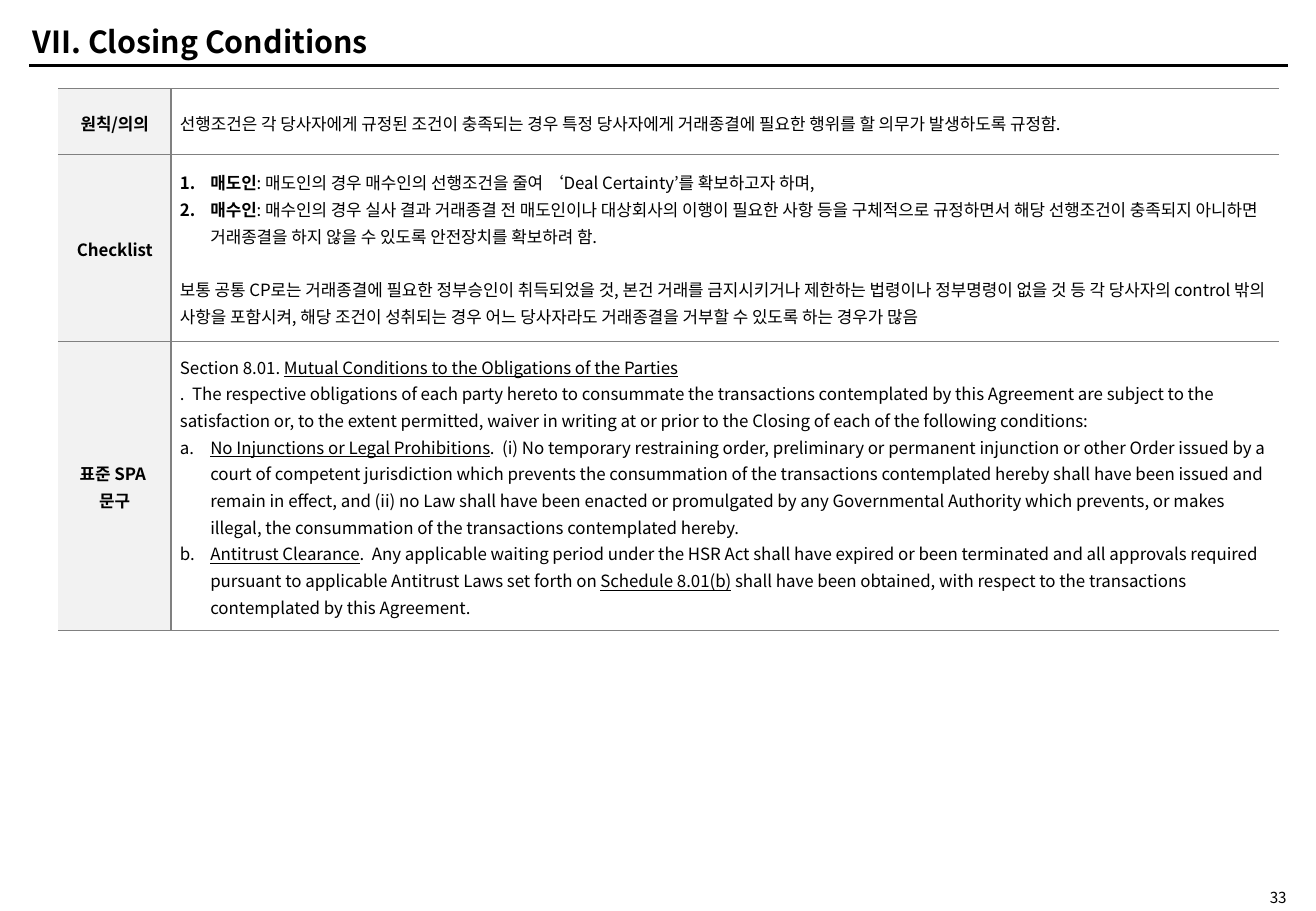
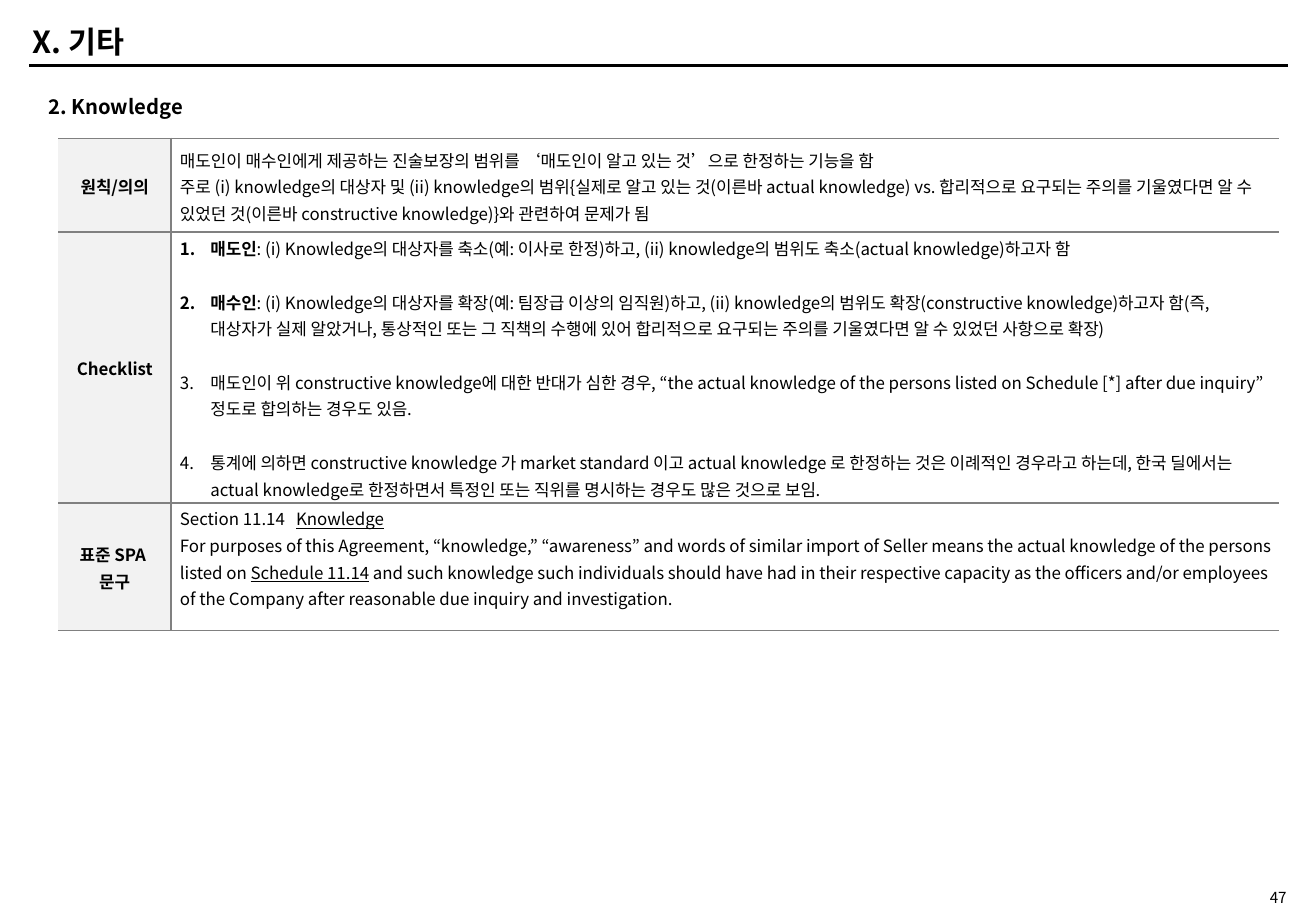
from dataclasses import dataclass

from lxml import etree
from pptx import Presentation
from pptx.dml.color import RGBColor
from pptx.enum.shapes import MSO_CONNECTOR
from pptx.enum.text import MSO_ANCHOR, PP_ALIGN
from pptx.oxml.ns import qn
from pptx.util import Pt

LEFT, CENTER, RIGHT = PP_ALIGN.LEFT, PP_ALIGN.CENTER, PP_ALIGN.RIGHT
TOP, MIDDLE = MSO_ANCHOR.TOP, MSO_ANCHOR.MIDDLE
STRAIGHT = MSO_CONNECTOR.STRAIGHT

COLORS = {"ink": "000000", "border": "808080", "label": "F2F2F2"}
FONT = "Noto Sans CJK KR"
SLIDE_WIDTH, SLIDE_HEIGHT = 780, 540
BODY_SIZE, LINE_SPACING, BLANK_LINE = 10, 1.1, 15.8
CELL_INSET, LIST_INDENT = 5.2, 18
LABEL_WIDTH, CONTENT_WIDTH = 67, 656.6
PLAIN_TABLE_STYLE = "{2D5ABB26-0587-4C30-8999-92F81FD0307C}"
NUMBER, LETTER = "arabicPeriod", "alphaLcPeriod"


@dataclass
class Entry:
    """A paragraph: plain strings, or (text, style) pairs, plus list settings."""
    runs: list
    numbering: str = ""
    gap: float = 0


def bold(text):
    return text, "bold"


def underlined(text):
    return text, "underline"


def set_font(paragraph, size, is_bold=False):
    font = paragraph.font
    font.name, font.size, font.bold = FONT, Pt(size), is_bold
    font.color.rgb = RGBColor.from_string(COLORS["ink"])
    # Hangul takes its typeface from the East Asian slot
    defaults = paragraph._p.pPr.find(qn("a:defRPr"))
    etree.SubElement(defaults, qn("a:ea"), typeface=FONT)


def add_text(slide, box, text, size, is_bold=False, alignment=LEFT, anchor=MIDDLE, inset=3.6):
    frame = slide.shapes.add_textbox(*map(Pt, box)).text_frame
    frame.word_wrap = True
    frame.vertical_anchor = anchor
    frame.margin_top = frame.margin_bottom = Pt(inset)
    paragraph = frame.paragraphs[0]
    paragraph.text, paragraph.alignment = text, alignment
    set_font(paragraph, size, is_bold)


def add_frame(slide, title, number):
    # Title with the rule below it
    add_text(slide, (12.2, 10.8, 368, 27.4), title, 18, True)
    rule = slide.shapes.add_connector(STRAIGHT, Pt(17.3), Pt(38.7), Pt(763.2), Pt(38.7))
    rule.line.color.rgb = RGBColor.from_string(COLORS["ink"])
    rule.line.width = Pt(2)
    etree.SubElement(rule._element.spPr, qn("a:effectLst"))
    # Page number
    add_text(slide, (702, 526.3, 67.7, 10.8), number, 9, alignment=RIGHT, inset=0)


def set_borders(cell, visible):
    properties = cell._tc.get_or_add_tcPr()
    for side in "LRTB":
        line = etree.SubElement(properties, qn(f"a:ln{side}"), w=str(Pt(1)))
        if side in visible:
            fill = etree.SubElement(line, qn("a:solidFill"))
            etree.SubElement(fill, qn("a:srgbClr"), val=COLORS["border"])
        else:
            etree.SubElement(line, qn("a:noFill"))


def prepare_cell(cell, borders, bottom=0):
    cell.vertical_anchor = MIDDLE
    cell.margin_left = cell.margin_right = Pt(CELL_INSET)
    cell.margin_top, cell.margin_bottom = 0, Pt(bottom)
    set_borders(cell, borders)


def fill_label(cell, text):
    prepare_cell(cell, "RTB")
    cell.fill.solid()
    cell.fill.fore_color.rgb = RGBColor.from_string(COLORS["label"])
    paragraph = cell.text_frame.paragraphs[0]
    paragraph.text, paragraph.alignment = text, CENTER
    paragraph.line_spacing = LINE_SPACING
    set_font(paragraph, BODY_SIZE, True)


def fill_content(cell, entries, bottom):
    prepare_cell(cell, "LTB", bottom)
    cell.fill.background()
    frame = cell.text_frame
    for index, entry in enumerate(entries):
        paragraph = frame.add_paragraph() if index else frame.paragraphs[0]
        paragraph.line_spacing = LINE_SPACING
        paragraph.space_before = Pt(entry.gap)
        if entry.numbering:
            properties = paragraph._p.get_or_add_pPr()
            properties.set("marL", str(Pt(LIST_INDENT)))
            properties.set("indent", str(-Pt(LIST_INDENT)))
            etree.SubElement(properties, qn("a:buAutoNum"), type=entry.numbering)
        set_font(paragraph, BODY_SIZE)
        for item in entry.runs:
            text, style = (item, "") if isinstance(item, str) else item
            run = paragraph.add_run()
            run.text = text
            if style:
                setattr(run.font, style, True)


def add_clause_table(slide, left, top, rows):
    """Each row holds its label, height, entries and bottom inset."""
    height = sum(row[1] for row in rows)
    shape = slide.shapes.add_table(len(rows), 2, Pt(left), Pt(top),
                                   Pt(LABEL_WIDTH + CONTENT_WIDTH), Pt(height))
    table = shape.table
    table.first_row = table.horz_banding = False
    table._tbl.tblPr.find(qn("a:tableStyleId")).text = PLAIN_TABLE_STYLE
    for column, width in zip(table.columns, (LABEL_WIDTH, CONTENT_WIDTH)):
        column.width = Pt(width)
    for index, (label, row_height, entries, bottom) in enumerate(rows):
        table.rows[index].height = Pt(row_height)
        fill_label(table.cell(index, 0), label)
        fill_content(table.cell(index, 1), entries, bottom)


PRINCIPLE, CHECKLIST, STANDARD = "원칙/의의", "Checklist", "표준 SPA \n문구"

CLOSING_ROWS = [
    (PRINCIPLE, 39, [
        Entry(["선행조건은 각 당사자에게 규정된 조건이 충족되는 경우 특정 당사자에게 거래종결에 "
               "필요한 행위를 할 의무가 발생하도록 규정함."]),
    ], 0),
    (CHECKLIST, 110.7, [
        Entry([bold("매도인"), ": 매도인의 경우 매수인의 선행조건을 줄여 ‘Deal Certainty’를 "
               "확보하고자 하며,"], NUMBER),
        Entry([bold("매수인"), ": 매수인의 경우 실사 결과 거래종결 전 매도인이나 대상회사의 이행이 "
               "필요한 사항 등을 구체적으로 규정하면서 해당 선행조건이 충족되지 아니하면 거래종결을 "
               "하지 않을 수 있도록 안전장치를 확보하려 함."], NUMBER),
        Entry(["보통 공통 CP로는 거래종결에 필요한 정부승인이 취득되었을 것, 본건 거래를 금지시키거나 "
               "제한하는 법령이나 정부명령이 없을 것 등 각 당사자의 control 밖의 사항을 포함시켜, "
               "해당 조건이 성취되는 경우 어느 당사자라도 거래종결을 거부할 수 있도록 하는 경우가 많음"],
              gap=BLANK_LINE),
    ], 0),
    (STANDARD, 171.3, [
        Entry(["Section 8.01. ",
               underlined("Mutual Conditions to the Obligations of the Parties")]),
        Entry([".  The respective obligations of each party hereto to consummate the transactions "
               "contemplated by this Agreement are subject to the satisfaction or, to the extent "
               "permitted, waiver in writing at or prior to the Closing of each of the following "
               "conditions:"]),
        Entry([underlined("No Injunctions or Legal Prohibitions"),
               ".  (i) No temporary restraining order, preliminary or permanent injunction or "
               "other Order issued by a court of competent jurisdiction which prevents the "
               "consummation of the transactions contemplated hereby shall have been issued and "
               "remain in effect, and (ii) no Law shall have been enacted or promulgated by any "
               "Governmental Authority which prevents, or makes illegal, the consummation of the "
               "transactions contemplated hereby."], LETTER),
        Entry([underlined("Antitrust Clearance"),
               ".  Any applicable waiting period under the HSR Act shall have expired or been "
               "terminated and all approvals required pursuant to applicable Antitrust Laws set "
               "forth on ", underlined("Schedule 8.01(b)"),
               " shall have been obtained, with respect to the transactions contemplated by this "
               "Agreement."], LETTER),
    ], 0),
]

KNOWLEDGE_ROWS = [
    (PRINCIPLE, 55.6, [
        Entry(["매도인이 매수인에게 제공하는 진술보장의 범위를 ‘매도인이 알고 있는 것’으로 "
               "한정하는 기능을 함"]),
        Entry(["주로 (i) knowledge의 대상자 및 (ii) knowledge의 범위{실제로 알고 있는 것(이른바 "
               "actual knowledge) vs. 합리적으로 요구되는 주의를 기울였다면 알 수 있었던 것(이른바 "
               "constructive knowledge)}와 관련하여 문제가 됨"]),
    ], 0),
    (CHECKLIST, 160.5, [
        Entry([bold("매도인"), ": (i) Knowledge의 대상자를 축소(예: 이사로 한정)하고, (ii) "
               "knowledge의 범위도 축소(actual knowledge)하고자 함"], NUMBER),
        Entry([bold("매수인"), ": (i) Knowledge의 대상자를 확장(예: 팀장급 이상의 임직원)하고, (ii) "
               "knowledge의 범위도 확장(constructive knowledge)하고자 함(즉, 대상자가 실제 알았거나, "
               "통상적인 또는 그 직책의 수행에 있어 합리적으로 요구되는 주의를 기울였다면 알 수 있었던 "
               "사항으로 확장)"], NUMBER, BLANK_LINE),
        Entry(["매도인이 위 constructive knowledge에 대한 반대가 심한 경우, “the actual knowledge of "
               "the persons listed on Schedule [*] after due inquiry” 정도로 합의하는 경우도 있음."],
              NUMBER, BLANK_LINE),
        Entry(["통계에 의하면 constructive knowledge 가 market standard 이고 actual knowledge 로 "
               "한정하는 것은 이례적인 경우라고 하는데, 한국 딜에서는 actual knowledge로 한정하면서 "
               "특정인 또는 직위를 명시하는 경우도 많은 것으로 보임."], NUMBER, BLANK_LINE),
    ], 0),
    (STANDARD, 75.5, [
        Entry(["Section 11.14   ", underlined("Knowledge")]),
        Entry(["For purposes of this Agreement, “knowledge,” “awareness” and words of similar "
               "import of Seller means the actual knowledge of the persons listed on ",
               underlined("Schedule 11.14"),
               " and such knowledge such individuals should have had in their respective capacity "
               "as the officers and/or employees of the Company after reasonable due inquiry and "
               "investigation."]),
    ], 11),
]


def add_clause_slide(presentation, title, number, top, rows, subtitle=""):
    slide = presentation.slides.add_slide(presentation.slide_layouts[6])
    add_frame(slide, title, number)
    if subtitle:
        add_text(slide, (21.6, 52.6, 292.3, 21.6), subtitle, 12, True, anchor=TOP)
    add_clause_table(slide, 34.5, top, rows)


def main():
    presentation = Presentation()
    presentation.slide_width, presentation.slide_height = Pt(SLIDE_WIDTH), Pt(SLIDE_HEIGHT)
    add_clause_slide(presentation, "VII. Closing Conditions", "33", 52.6, CLOSING_ROWS)
    add_clause_slide(presentation, "X. 기타", "47", 82, KNOWLEDGE_ROWS, "2. Knowledge")
    presentation.save("out.pptx")


if __name__ == "__main__":
    main()
